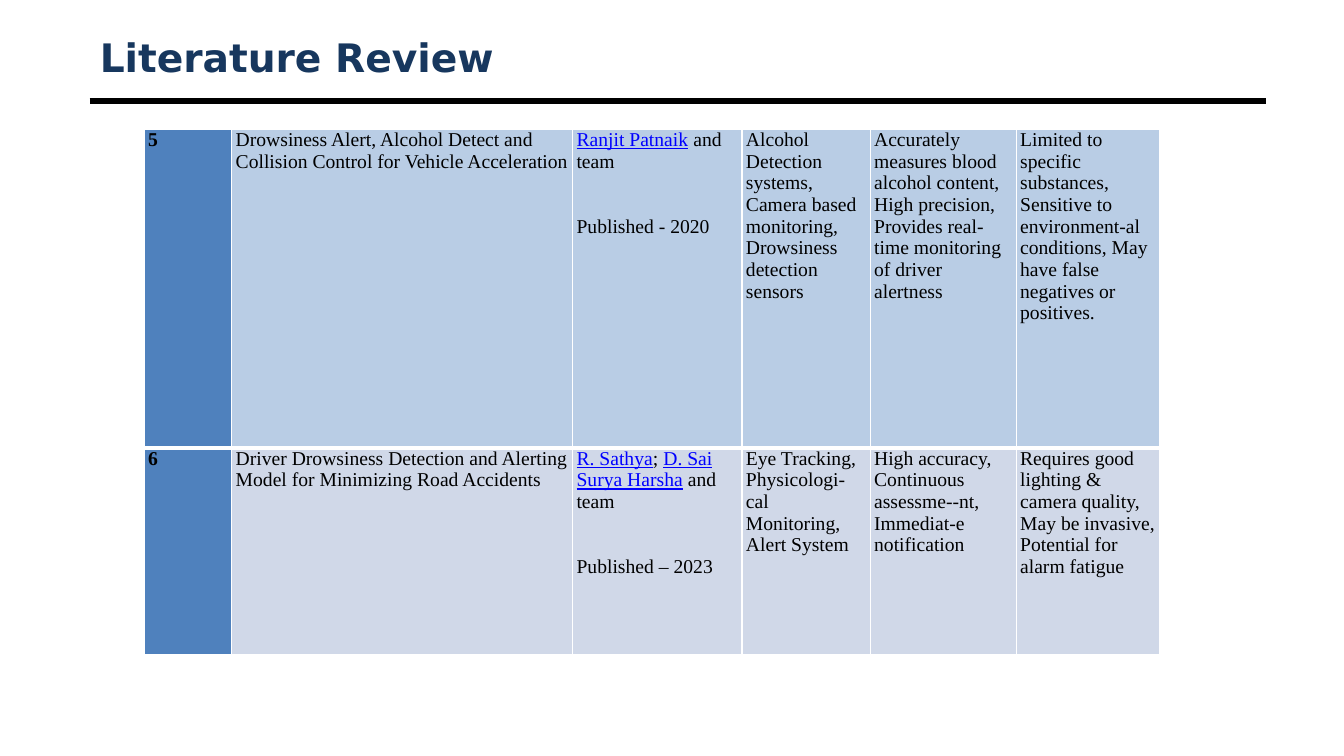
"""Build the literature review slide with its table of papers."""
from dataclasses import dataclass

from lxml import etree
from pptx import Presentation
from pptx.dml.color import RGBColor
from pptx.enum.shapes import MSO_CONNECTOR
from pptx.enum.text import MSO_ANCHOR, MSO_AUTO_SIZE, PP_ALIGN
from pptx.oxml.ns import qn
from pptx.slide import Slide
from pptx.table import _Cell
from pptx.text.text import Font
from pptx.util import Cm, Pt

STRAIGHT = MSO_CONNECTOR.STRAIGHT
MIDDLE = MSO_ANCHOR.MIDDLE
FIXED = MSO_AUTO_SIZE.NONE
LEFT = PP_ALIGN.LEFT

COLORS = {
    "navy": "17375E",
    "black": "000000",
    "white": "FFFFFF",
    "link": "0000FF",
    "blue": "4F81BD",
    "sky": "B9CDE5",
    "mist": "D0D8E8",
}
HEAD_FONT = "DejaVu Sans"
BODY_FONT = "Times New Roman"
WIDTHS = (2.21, 8.59, 4.27, 3.23, 3.68, 3.61)
TEAM_COL = 2


@dataclass(frozen=True)
class Part:
    """A piece of the author line, linked or plain."""
    text: str
    link: bool = False


@dataclass(frozen=True)
class Paper:
    """One row of the review table."""
    number: str
    title: str
    team: tuple[Part, ...]
    date: str
    method: str
    pros: str
    cons: str
    tint: str
    height: float
    edges: dict[str, float]


PAPERS = (
    Paper(
        "5",
        "Drowsiness Alert, Alcohol Detect and Collision Control for Vehicle Acceleration",
        (Part("Ranjit Patnaik", True), Part(" and team")),
        "Published - 2020",
        "Alcohol Detection systems, Camera based monitoring, Drowsiness detection sensors",
        "Accurately measures blood alcohol content, High precision, "
        "Provides real-time monitoring of driver alertness",
        "Limited to specific substances, Sensitive to environment-al conditions, "
        "May have false negatives or positives.",
        "sky", 8.03, {"L": 1, "R": 1, "T": 1, "B": 3},
    ),
    Paper(
        "6",
        "Driver Drowsiness Detection and Alerting Model for Minimizing Road Accidents",
        (Part("R. Sathya", True), Part("; "), Part("D. Sai Surya Harsha", True),
         Part(" and team")),
        "Published – 2023",
        "Eye Tracking, Physicologi-cal Monitoring, Alert System",
        "High accuracy, Continuous assessme--nt, Immediat-e notification",
        "Requires good lighting & camera quality, May be invasive, "
        "Potential for alarm fatigue",
        "mist", 5.21, {"L": 1, "R": 1, "T": 3, "B": 1},
    ),
)


def tone(name: str) -> RGBColor:
    """Return the named colour."""
    return RGBColor.from_string(COLORS[name])


def style(font: Font, face: str, size: float, color: str, bold: bool = False) -> None:
    """Set the look of a font."""
    font.name, font.size, font.bold = face, Pt(size), bold
    font.color.rgb = tone(color)


def draw_title(slide: Slide) -> None:
    """Place the title and the rule below it."""
    title = slide.shapes.title
    title.left, title.top, title.width, title.height = Cm(2.26), Cm(0.76), Cm(29.64), Cm(1.35)
    frame = title.text_frame
    frame.text = "Literature Review"
    frame.auto_size, frame.vertical_anchor = FIXED, MIDDLE
    frame.paragraphs[0].alignment = LEFT
    style(frame.paragraphs[0].runs[0].font, HEAD_FONT, 28, "navy", True)

    rule = slide.shapes.add_connector(STRAIGHT, Cm(2.26), Cm(2.54), Cm(31.9), Cm(2.54))
    rule.line.color.rgb = tone("black")
    rule.line.width = Pt(4.5)
    etree.SubElement(rule._element.spPr, qn("a:effectLst"))


def add_edges(cell: _Cell, edges: dict[str, float]) -> None:
    """Give a cell white borders of the given widths."""
    props = cell._tc.get_or_add_tcPr()
    for spot, (side, width) in enumerate(edges.items()):
        line = etree.Element(qn(f"a:ln{side}"), w=str(Pt(width)))
        fill = etree.SubElement(line, qn("a:solidFill"))
        etree.SubElement(fill, qn("a:srgbClr"), val=COLORS["white"])
        props.insert(spot, line)


def fill_team(cell: _Cell, paper: Paper) -> None:
    """Write the authors and, two lines lower, the date."""
    first = cell.text_frame.paragraphs[0]
    for part in paper.team:
        run = first.add_run()
        run.text = part.text
        style(run.font, BODY_FONT, 14, "link" if part.link else "black")
        run.font.underline = part.link
    last = cell.text_frame.add_paragraph()
    last.text = paper.date
    last.space_before = Pt(31)
    style(last.runs[0].font, BODY_FONT, 14, "black")


def fill_row(cells: list[_Cell], paper: Paper) -> None:
    """Fill and format one row of the table."""
    texts = (paper.number, paper.title, "", paper.method, paper.pros, paper.cons)
    for col, (cell, text) in enumerate(zip(cells, texts)):
        cell.margin_left = cell.margin_right = Cm(0.1)
        cell.margin_top = cell.margin_bottom = Cm(0)
        cell.fill.solid()
        cell.fill.fore_color.rgb = tone(paper.tint if col else "blue")
        add_edges(cell, paper.edges)
        if col == TEAM_COL:
            fill_team(cell, paper)
        else:
            cell.text_frame.text = text
            run = cell.text_frame.paragraphs[0].runs[0]
            style(run.font, BODY_FONT, 14, "black", col == 0)


def draw_table(slide: Slide) -> None:
    """Draw the table of papers."""
    tall = sum(paper.height for paper in PAPERS)
    table = slide.shapes.add_table(
        len(PAPERS), len(WIDTHS), Cm(3.63), Cm(3.25), Cm(sum(WIDTHS)), Cm(tall)
    ).table
    table.first_row = table.horz_banding = False
    for column, width in zip(table.columns, WIDTHS):
        column.width = Cm(width)
    for row, paper in zip(table.rows, PAPERS):
        row.height = Cm(paper.height)
        fill_row(list(row.cells), paper)


def main() -> None:
    """Build and save the deck."""
    deck = Presentation()
    deck.slide_width, deck.slide_height = Cm(33.87), Cm(19.05)
    slide = deck.slides.add_slide(deck.slide_layouts[5])
    draw_title(slide)
    draw_table(slide)
    deck.save("out.pptx")


if __name__ == "__main__":
    main()
